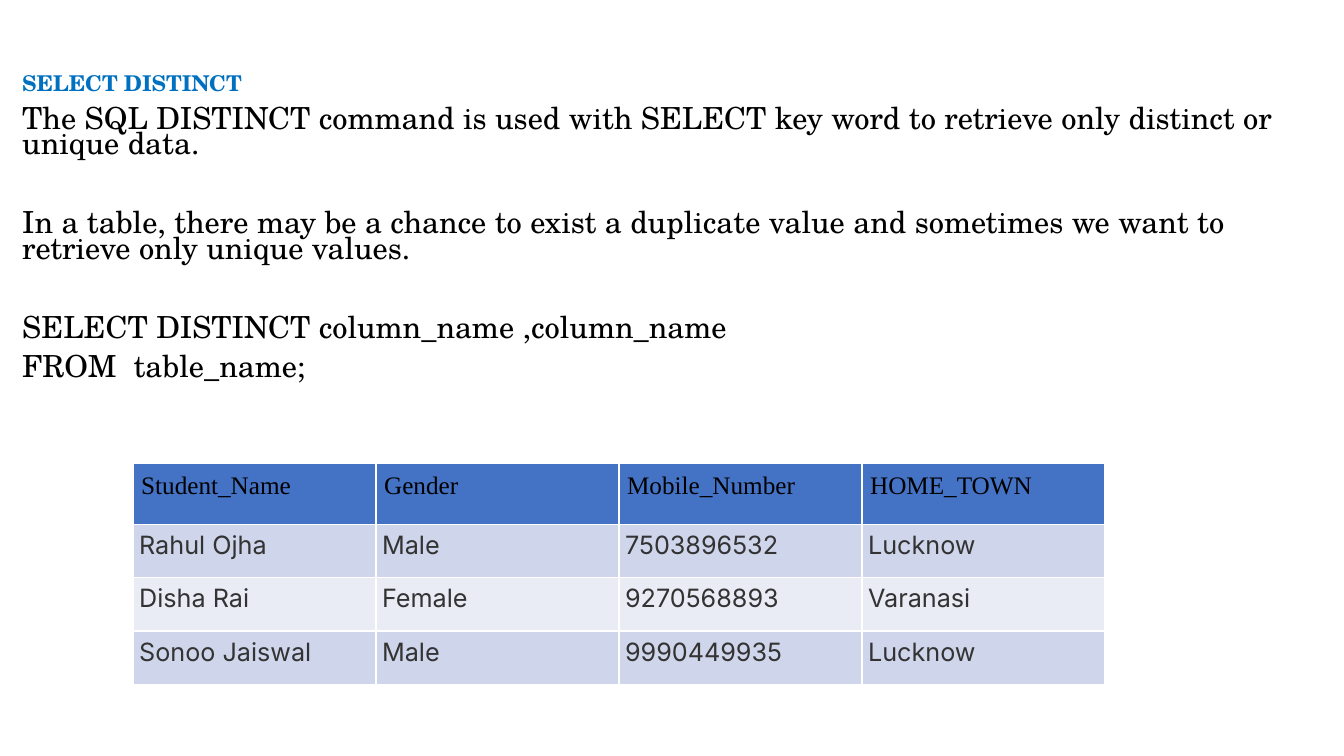
"""Build the SELECT DISTINCT lesson slide."""
from lxml.etree import SubElement as Sub
from pptx import Presentation as Deck
from pptx.dml.color import RGBColor as RGB
from pptx.enum.text import MSO_ANCHOR as Anchor, MSO_AUTO_SIZE as Fit, PP_ALIGN as Align
from pptx.oxml.ns import qn
from pptx.util import Inches, Pt

BLACK = RGB(0x00, 0x00, 0x00)
WHITE = RGB(0xFF, 0xFF, 0xFF)
GRAY = RGB(0x33, 0x33, 0x33)
SKY = RGB(0x00, 0x70, 0xC0)
BLUE = RGB(0x44, 0x72, 0xC4)
BANDS = (RGB(0xCF, 0xD5, 0xEA), RGB(0xE9, 0xEB, 0xF5))

LINES = (
    ("SELECT DISTINCT", 10),
    ("The SQL DISTINCT command is used with SELECT key word to retrieve "
     "only distinct or unique data.", 10),
    ("In a table, there may be a chance to exist a duplicate value and "
     "sometimes we want to retrieve only unique values.", 38.2),
    ("SELECT DISTINCT column_name ,column_name", 38.2),
    ("FROM  table_name;", 10),
)
ROWS = (
    ("Student_Name", "Gender", "Mobile_Number", "HOME_TOWN"),
    ("Rahul Ojha", "Male", "7503896532", "Lucknow"),
    ("Disha Rai", "Female", "9270568893", "Varanasi"),
    ("Sonoo Jaiswal", "Male", "9990449935", "Lucknow"),
)


class Page:
    """Hold the style and the current slide."""

    serif = "TeX Gyre Schola"
    head = "Times New Roman"
    sans = "Inter"

    def __init__(self, deck):
        """Add a slide that keeps only its body placeholder."""
        self.slide = deck.slides.add_slide(deck.slide_layouts[1])
        title = self.slide.shapes.title.element
        title.getparent().remove(title)

    def style(self, par, name, size, color, bold=False):
        """Format every run of a paragraph."""
        for run in par.runs:
            font = run.font
            font.name, font.size, font.bold = name, Pt(size), bold
            font.color.rgb = color

    def body(self, lines, left, top, width, height):
        """Fill the body with a heading line and plain lines."""
        box = self.slide.placeholders[1]
        box.left, box.top = Inches(left), Inches(top)
        box.width, box.height = Inches(width), Inches(height)
        frame = box.text_frame
        frame.word_wrap, frame.auto_size = True, Fit.NONE
        frame.vertical_anchor = Anchor.TOP
        frame.text = "\n".join(text for text, gap in lines)
        for i, (par, (text, gap)) in enumerate(zip(frame.paragraphs, lines)):
            par.alignment = Align.LEFT
            par.line_spacing, par.space_before = 0.7, Pt(gap)
            props = par._p.get_or_add_pPr()
            props.set("marL", "0")
            props.set("indent", "0")
            Sub(props, qn("a:buNone"))
            if i == 0:
                self.style(par, self.serif, 15.5, SKY, True)
            else:
                self.style(par, self.serif, 21.7, BLACK)

    def edge(self, cell):
        """Draw thin white borders round a cell."""
        props = cell._tc.get_or_add_tcPr()
        for i, side in enumerate(("lnL", "lnR", "lnT", "lnB")):
            line = props.makeelement(qn("a:" + side), {"w": str(Pt(1))})
            props.insert(i, line)
            fill = Sub(line, qn("a:solidFill"))
            Sub(fill, qn("a:srgbClr"), val=str(WHITE))

    def cell(self, cell, text, row):
        """Set the text, fill and borders of one cell."""
        pad = Inches(0.06 if row else 0.08)
        cell.margin_left = cell.margin_right = pad
        cell.margin_top = cell.margin_bottom = pad
        cell.text = text
        par = cell.text_frame.paragraphs[0]
        if row:
            par.alignment = Align.JUSTIFY
            self.style(par, self.sans, 18, GRAY)
        else:
            self.style(par, self.head, 18, BLACK)
        cell.fill.solid()
        cell.fill.fore_color.rgb = BANDS[(row - 1) % 2] if row else BLUE
        self.edge(cell)

    def table(self, rows, left, top, width, heights):
        """Add a table with even columns and the given row heights."""
        table = self.slide.shapes.add_table(
            len(rows), len(rows[0]), Inches(left), Inches(top),
            Inches(width), Inches(sum(heights))).table
        for r, (row, height) in enumerate(zip(rows, heights)):
            table.rows[r].height = Inches(height)
            for c, text in enumerate(row):
                self.cell(table.cell(r, c), text, r)


def main():
    """Build and save the deck."""
    deck = Deck()
    deck.slide_width, deck.slide_height = Inches(13.33), Inches(7.5)
    page = Page(deck)
    page.body(LINES, 0.12, 0.71, 12.94, 3.36)
    page.table(ROWS, 1.32, 4.6, 9.64, (0.6, 0.53, 0.53, 0.53))
    deck.save("out.pptx")


if __name__ == "__main__":
    main()
